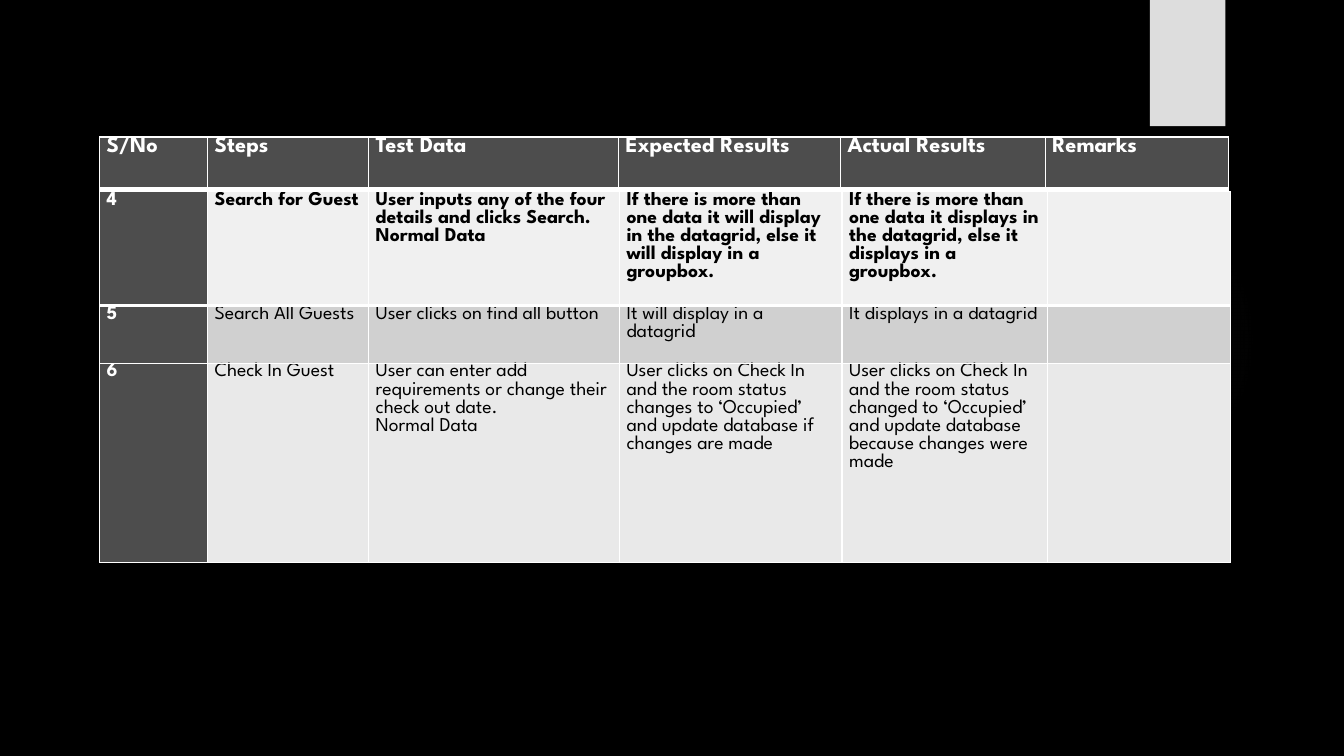
from dataclasses import dataclass

from lxml import etree
from pptx import Presentation
from pptx.dml.color import RGBColor
from pptx.enum import shapes
from pptx.oxml import ns
from pptx.util import Cm, Pt


@dataclass(frozen=True)
class Theme:
    font: str = "League Spartan"
    header_size: int = 16
    body_size: int = 14
    background: str = "000000"
    tab: str = "DDDDDD"
    glow: str = "666666"
    dark: str = "4D4D4D"
    light_text: str = "FFFFFF"
    dark_text: str = "000000"
    border: str = "FFFFFF"
    thin: int = 1
    thick: int = 3


THEME = Theme()
TABLE_LEFT = 2.51
HEADER_TOP, BODY_TOP = 3.45, 4.83
HEADER_WIDTHS = [2.72, 4.06, 6.3, 5.59, 5.16, 4.62]
BODY_WIDTHS = [2.72, 4.06, 6.32, 5.61, 5.18, 4.62]
HEADER_HEIGHT = 1.32

HEADERS = ["S/No", "Steps", "Test Data", "Expected Results",
           "Actual Results", "Remarks"]

# Each test: row height, fill, emphasised, cell texts
TESTS = [
    (2.87, "F0F0F0", True, [
        "4", "Search for Guest",
        "User inputs any of the four details and clicks Search.\nNormal Data",
        "If there is more than one data it will display in the datagrid, "
        "else it will display in a groupbox.",
        "If there is more than one data it displays in the datagrid, "
        "else it displays in a groupbox.", ""]),
    (1.45, "D0D0D0", False, [
        "5", "Search All Guests", "User clicks on find all button",
        "It will display in a datagrid", "It displays in a datagrid", ""]),
    (5.03, "E9E9E9", False, [
        "6", "Check In Guest",
        "User can enter add requirements or change their check out date."
        "\nNormal Data",
        "User clicks on Check In and the room status changes to ‘Occupied’ "
        "and update database if changes are made",
        "User clicks on Check In and the room status changed to ‘Occupied’ "
        "and update database because changes were made", ""]),
]


def rgb(color):
    return RGBColor.from_string(color)


def write_text(frame, content, *, size, color, bold):
    frame.word_wrap = True
    frame.text = content
    for paragraph in frame.paragraphs:
        font = paragraph.font
        for run in paragraph.runs:
            font = run.font
            font.name = THEME.font
            font.size = Pt(size)
            font.bold = bold
            font.color.rgb = rgb(color)


def set_borders(cell, bottom):
    properties = cell._tc.get_or_add_tcPr()
    widths = {"L": THEME.thin, "R": THEME.thin, "T": THEME.thin, "B": bottom}
    for index, (side, width) in enumerate(widths.items()):
        line = etree.Element(ns.qn(f"a:ln{side}"), w=str(Pt(width)))
        fill = etree.SubElement(line, ns.qn("a:solidFill"))
        etree.SubElement(fill, ns.qn("a:srgbClr"), val=THEME.border)
        properties.insert(index, line)


def fill_cell(cell, content, *, fill, bottom, **text_format):
    cell.margin_left = cell.margin_right = Cm(0.18)
    cell.margin_top = cell.margin_bottom = 0
    cell.fill.solid()
    cell.fill.fore_color.rgb = rgb(fill)
    set_borders(cell, bottom)
    write_text(cell.text_frame, content, **text_format)


def add_grid(slide, top, widths, heights):
    frame = slide.shapes.add_table(
        len(heights), len(widths), Cm(TABLE_LEFT), Cm(top),
        Cm(sum(widths)), Cm(sum(heights)))
    table = frame.table
    table.first_row = table.horz_banding = False
    for column, width in zip(table.columns, widths):
        column.width = Cm(width)
    for row, height in zip(table.rows, heights):
        row.height = Cm(height)
    return table


def add_plain_shape(slide, kind, left, top, width, height, color):
    shape = slide.shapes.add_shape(
        kind, Cm(left), Cm(top), Cm(width), Cm(height))
    shape.shadow.inherit = False
    shape.line.fill.background()
    shape.fill.solid()
    shape.fill.fore_color.rgb = rgb(color)
    return shape


def add_glow(slide):
    shape = add_plain_shape(slide, shapes.MSO_SHAPE.OVAL,
                            23.9, 4.65, 7.82, 7.82, THEME.glow)
    gradient = etree.Element(ns.qn("a:gradFill"))
    stops = etree.SubElement(gradient, ns.qn("a:gsLst"))
    for position, opacity in [(0, 7), (36, 6), (69, 0)]:
        stop = etree.SubElement(stops, ns.qn("a:gs"), pos=str(position * 1000))
        color = etree.SubElement(stop, ns.qn("a:srgbClr"), val=THEME.glow)
        etree.SubElement(color, ns.qn("a:alpha"), val=str(opacity * 1000))
    circle = etree.SubElement(gradient, ns.qn("a:path"))
    circle.set("path", "circle")
    etree.SubElement(circle, ns.qn("a:fillToRect"),
                     {side: "50000" for side in "ltrb"})
    solid = shape._element.spPr.find(ns.qn("a:solidFill"))
    solid.getparent().replace(solid, gradient)


def add_header(slide):
    table = add_grid(slide, HEADER_TOP, HEADER_WIDTHS, [HEADER_HEIGHT])
    for cell, content in zip(table.rows[0].cells, HEADERS):
        fill_cell(cell, content, fill=THEME.dark, bottom=THEME.thick,
                  size=THEME.header_size, color=THEME.light_text, bold=True)


def add_tests(slide):
    table = add_grid(slide, BODY_TOP, BODY_WIDTHS, [test[0] for test in TESTS])
    for row, (_, fill, emphasised, contents) in zip(table.rows, TESTS):
        bottom = THEME.thick if emphasised else THEME.thin
        for index, (cell, content) in enumerate(zip(row.cells, contents)):
            is_number = index == 0
            fill_cell(cell, content, bottom=bottom, size=THEME.body_size,
                      fill=THEME.dark if is_number else fill,
                      color=THEME.light_text if is_number else THEME.dark_text,
                      bold=is_number or emphasised)


def main():
    presentation = Presentation()
    presentation.slide_width, presentation.slide_height = Cm(33.87), Cm(19.05)
    slide = presentation.slides.add_slide(presentation.slide_layouts[6])
    slide.background.fill.solid()
    slide.background.fill.fore_color.rgb = rgb(THEME.background)

    # Backdrop
    add_glow(slide)
    add_plain_shape(slide, shapes.MSO_SHAPE.RECTANGLE,
                    28.98, 0, 1.9, 3.18, THEME.tab)

    # Test plan
    add_header(slide)
    add_tests(slide)

    presentation.save("out.pptx")


main()
